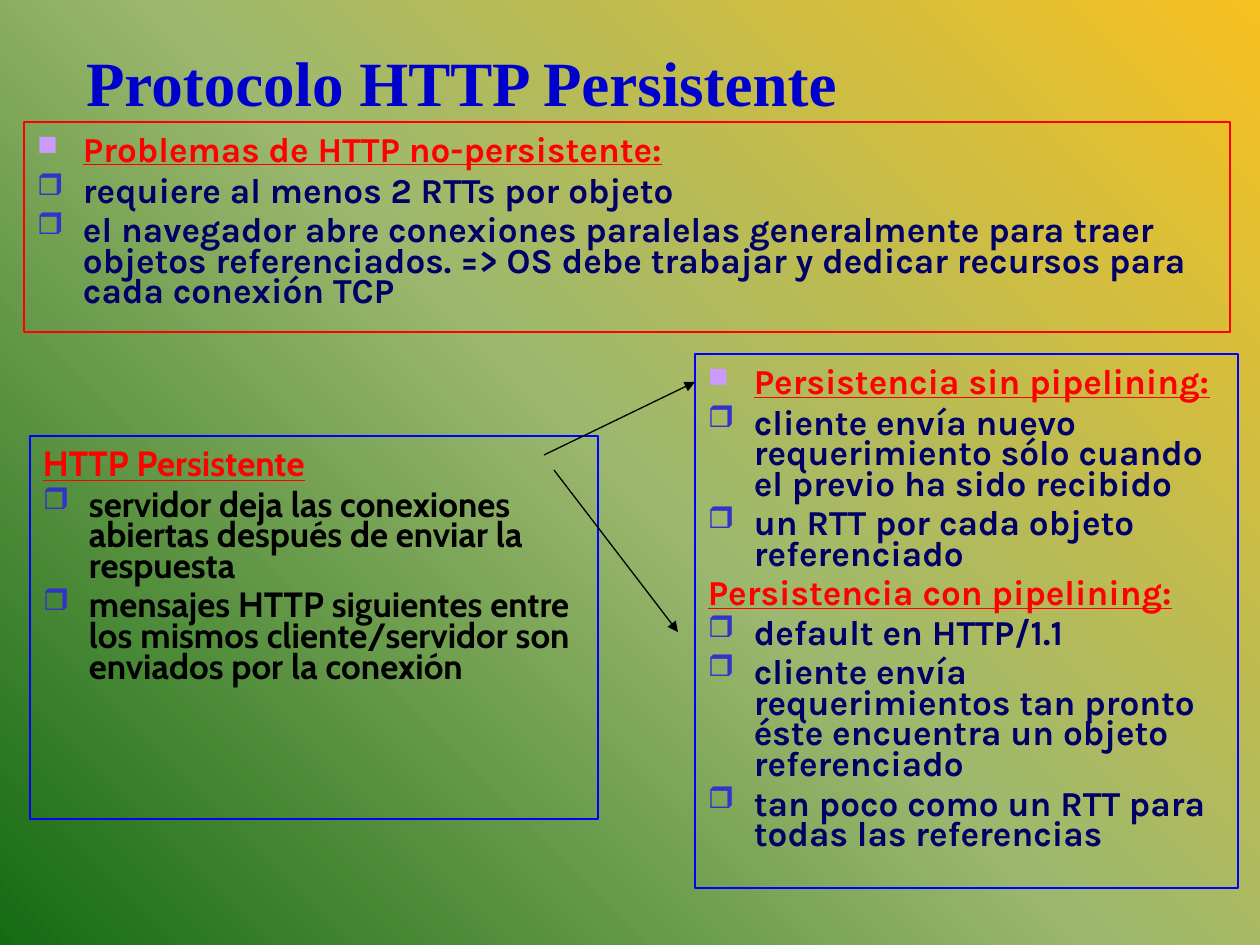
import copy
import pptx
import pptx.util
import pptx.dml.color
import pptx.enum.shapes
import pptx.enum.text
import pptx.oxml
import pptx.oxml.ns
import lxml.etree

RGB = pptx.dml.color.RGBColor
RED = RGB(0xFF, 0, 0)
BLUE = RGB(0, 0, 0xFF)
ROYAL = RGB(0, 0, 0xCC)
NAVY = RGB(0, 0, 0x66)
BLACK = RGB(0, 0, 0)
LILAC = RGB(0xCC, 0x99, 0xFF)
INDIGO = RGB(0x33, 0x33, 0xCC)
STOPS = [(0, RGB(0xF7, 0xC1, 0x20)), (0.5, RGB(0x9C, 0xB8, 0x6E)), (1, RGB(0x15, 0x6B, 0x13))]

TITLE = "Protocolo HTTP Persistente"
MARKS = {"square": ("■", LILAC, 80), "box": ("❒", INDIGO, 85), "none": None}
BOXES = [
    {"at": (24, 122, 1206, 210), "line": RED, "font": "Karla", "ink": NAVY, "text": [
        ("head", "square", "Problemas de HTTP no-persistente:"),
        ("item", "box", "requiere al menos 2 RTTs por objeto"),
        ("item", "box", "el navegador abre conexiones paralelas generalmente para traer objetos "
                        "referenciados. => OS debe trabajar y dedicar recursos para cada conexión TCP"),
    ]},
    {"at": (695, 354, 543, 534), "line": BLUE, "font": "Karla", "ink": NAVY, "text": [
        ("head", "square", "Persistencia sin pipelining:"),
        ("item", "box", "cliente envía nuevo requerimiento sólo cuando el previo ha sido recibido"),
        ("item", "box", "un RTT por cada objeto referenciado"),
        ("head", "none", "Persistencia con pipelining:"),
        ("item", "box", "default en HTTP/1.1"),
        ("item", "box", "cliente envía requerimientos tan pronto éste encuentra un objeto referenciado"),
        ("item", "box", "tan poco como un RTT para todas las referencias"),
    ]},
    {"at": (30, 436, 568, 383), "line": BLUE, "font": "Cabin", "ink": BLACK, "text": [
        ("head", "none", "HTTP Persistente"),
        ("item", "box", "servidor deja las conexiones abiertas después de enviar la respuesta"),
        ("item", "box", "mensajes HTTP siguientes entre los mismos cliente/servidor son enviados "
                        "por la conexión"),
    ]},
]
ARROWS = [(544, 455, 695, 382), (554, 470, 678, 632)]
SCALE = 914400 / 126


def px(num):
    return round(num * SCALE)


def put(obj, **vals):
    for name, val in vals.items():
        setattr(obj, name, val)


def place(shape, at):
    put(shape, **dict(zip(("left", "top", "width", "height"), map(px, at))))


def frame(shape, anchor):
    put(shape.text_frame, word_wrap=True, vertical_anchor=anchor,
        auto_size=pptx.enum.text.MSO_AUTO_SIZE.NONE, margin_left=px(13),
        margin_right=px(13), margin_top=px(13), margin_bottom=px(6))
    return shape.text_frame


def sub(node, tag, **vals):
    return lxml.etree.SubElement(node, pptx.oxml.ns.qn(tag), **vals)


def write(par, text, font, size, ink, line, under=False):
    put(par, alignment=pptx.enum.text.PP_ALIGN.LEFT, line_spacing=line)
    run = par.add_run()
    run.text = text
    put(run.font, name=font, size=pptx.util.Pt(size), bold=True, underline=under)
    run.font.color.rgb = ink


def bullet(par, mark):
    props = par._p.get_or_add_pPr()
    props.set("marL", str(px(46)))
    props.set("indent", str(px(-46)))
    if mark is None:
        sub(props, "a:buNone")
        return
    char, ink, size = mark
    sub(sub(props, "a:buClr"), "a:srgbClr", val=str(ink))
    sub(props, "a:buSzPct", val=str(size * 1000))
    sub(props, "a:buChar", char=char)


def paint(slide):
    fill = slide.background.fill
    fill.gradient()
    fill.gradient_angle = 225
    stops = slide.element.find(".//" + pptx.oxml.ns.qn("a:gsLst"))
    stops.append(copy.deepcopy(stops[0]))
    for stop, (pos, ink) in zip(fill.gradient_stops, STOPS):
        stop.position = pos
        stop.color.rgb = ink


def panel(slide, box):
    shape = slide.shapes.add_shape(pptx.enum.shapes.MSO_SHAPE.RECTANGLE, 0, 0, 0, 0)
    place(shape, box["at"])
    shape.shadow.inherit = False
    shape.fill.background()
    shape.line.color.rgb = box["line"]
    shape.line.width = pptx.util.Pt(0.75)
    body = frame(shape, pptx.enum.text.MSO_ANCHOR.TOP)
    for num, (kind, mark, text) in enumerate(box["text"]):
        par = body.add_paragraph() if num else body.paragraphs[0]
        head = kind == "head"
        write(par, text, box["font"], 20, RED if head else box["ink"],
              0.73 if num else 0.83, head)
        par.space_before = pptx.util.Pt(5)
        bullet(par, MARKS[mark])


def arrow(slide, ends):
    line = slide.shapes.add_connector(pptx.enum.shapes.MSO_CONNECTOR.STRAIGHT, *map(px, ends))
    line.line.color.rgb = BLACK
    line.line.width = pptx.util.Pt(0.75)
    sub(line.line._get_or_add_ln(), "a:tailEnd", type="triangle")
    sub(line._element.spPr, "a:effectLst")


def main():
    deck = pptx.Presentation()
    put(deck, slide_width=px(1260), slide_height=px(945))
    slide = deck.slides.add_slide(deck.slide_layouts[5])
    paint(slide)
    title = slide.shapes.title
    place(title, (73, 20, 1155, 106))
    body = frame(title, pptx.enum.text.MSO_ANCHOR.BOTTOM)
    write(body.paragraphs[0], TITLE, "Times New Roman", 36, ROYAL, 0.88)
    for box in BOXES:
        panel(slide, box)
    for ends in ARROWS:
        arrow(slide, ends)
    deck.save("out.pptx")


if __name__ == "__main__":
    main()
